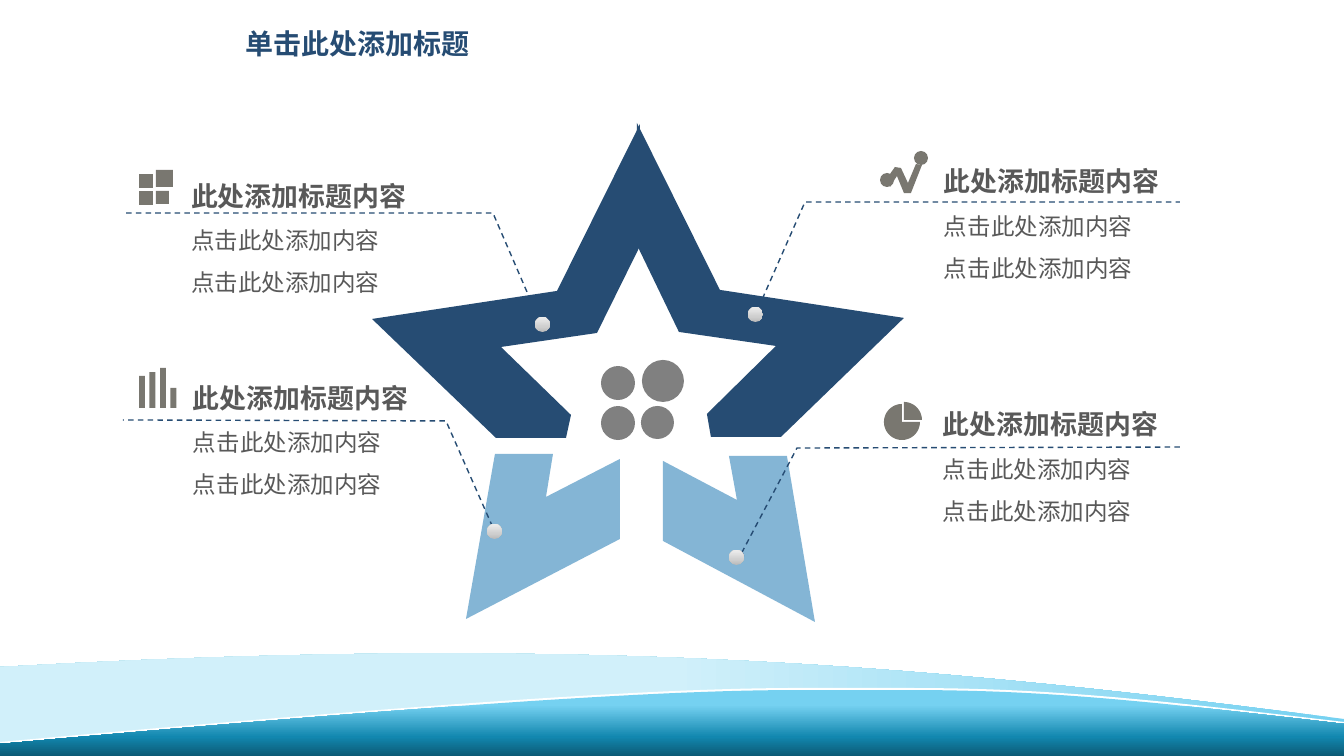
import itertools
import math

import pptx
import pptx.dml.color
import pptx.enum.dml
import pptx.enum.shapes
import pptx.enum.text
import pptx.oxml.ns
import pptx.util
from lxml import etree

EMU_PER_PX = 914400 / 100.8
COLORS = {
    "navy": "264C73", "sky": "84B5D5", "grey": "808080", "icon": "797770",
    "text": "595959", "white": "FFFFFF", "aqua": "75D1F1", "mist": "D1F0FA",
    "teal": "1287AF", "deep": "0C5A75",
    "silver": "BBBBBB", "pearl": "CFCFCF", "pale": "EDEDED",
}
HEADING = "此处添加标题内容"
DETAIL = "点击此处添加内容"
RECT = pptx.enum.shapes.MSO_SHAPE.RECTANGLE
OVAL = pptx.enum.shapes.MSO_SHAPE.OVAL
PP_ALIGN = pptx.enum.text.PP_ALIGN
qn = pptx.oxml.ns.qn


def bezier(points, steps=24):
    curve = [points[0]]
    for first in range(0, len(points) - 1, 3):
        a, b, c, d = points[first:first + 4]
        for step in range(1, steps + 1):
            t = step / steps
            u = 1 - t
            curve.append(tuple(
                u**3 * a[axis] + 3 * u * u * t * b[axis] + 3 * u * t * t * c[axis] + t**3 * d[axis]
                for axis in (0, 1)))
    return curve


def crest(top):
    return bezier([(0, top + 54), (523, top + 7), (694, top), (804, top),
                   (842, top), (872, top), (906, top),
                   (1043, top), (1140, top + 10), (1344, top + 34)])


def sector(x, y, radius, start, end):
    arc = [(x + radius * math.cos(math.radians(angle)), y + radius * math.sin(math.radians(angle)))
           for angle in range(start, end + 1, 5)]
    return [(x, y)] + arc


class SlideBuilder:
    def __init__(self, slide):
        self.slide = slide
        self.shapes = slide.shapes
        self.cjk_font = "Noto Sans CJK SC"

    def px(self, *lengths):
        return [pptx.util.Emu(round(length * EMU_PER_PX)) for length in lengths]

    def rgb(self, color):
        return pptx.dml.color.RGBColor.from_string(COLORS[color])

    def paint(self, shape, color=None, gradient=None):
        shape.shadow.inherit = False
        shape.line.fill.background()
        if gradient is None:
            shape.fill.solid()
            shape.fill.fore_color.rgb = self.rgb(color)
            return
        stops, angle = gradient
        shape.fill.gradient()
        shape.fill.gradient_angle = (360 - angle) % 360
        stop_list = shape.element.find(".//" + qn("a:gsLst"))
        stop_list.clear()
        for position, name in stops:
            stop = etree.SubElement(stop_list, qn("a:gs"), pos=str(position * 1000))
            etree.SubElement(stop, qn("a:srgbClr"), val=COLORS[name])

    def outline(self, points, closed=True):
        corners = [self.px(*point) for point in points]
        builder = self.shapes.build_freeform(*corners[0], scale=1.0)
        builder.add_line_segments(corners[1:], close=closed)
        return builder.convert_to_shape()

    def polygon(self, points, color=None, gradient=None):
        self.paint(self.outline(points), color, gradient)

    def preset(self, kind, box, color=None, gradient=None):
        self.paint(self.shapes.add_shape(kind, *self.px(*box)), color, gradient)

    def leader(self, points):
        leader = self.outline(points, closed=False)
        leader.shadow.inherit = False
        leader.fill.background()
        leader.line.color.rgb = self.rgb("navy")
        leader.line.width = pptx.util.Pt(1)
        leader.line.dash_style = pptx.enum.dml.MSO_LINE.DASH
        etree.SubElement(leader.element.find(".//" + qn("a:ln")), qn("a:headEnd"), type="oval")

    def place(self, placeholder, box, lines):
        placeholder.left, placeholder.top, placeholder.width, placeholder.height = self.px(*box)
        frame = placeholder.text_frame
        frame.text = "\n".join(lines)
        frame.auto_size = pptx.enum.text.MSO_AUTO_SIZE.NONE
        frame.vertical_anchor = pptx.enum.text.MSO_ANCHOR.TOP
        return frame

    def style(self, paragraph, font, size, color, bold, align, spacing):
        paragraph.alignment = align
        paragraph.line_spacing = spacing
        paragraph.space_before = paragraph.space_after = pptx.util.Pt(0)
        for run in paragraph.runs:
            run.font.name = font
            run.font.size = pptx.util.Pt(size)
            run.font.bold = bold
            run.font.color.rgb = self.rgb(color)
            etree.SubElement(run.font._element, qn("a:ea"), typeface=self.cjk_font)

    def title(self, text, box):
        frame = self.place(self.shapes.title, box, [text])
        frame.word_wrap = False
        self.style(frame.paragraphs[0], "Arial", 20, "navy", True, PP_ALIGN.LEFT, 1.3)

    def topic(self, placeholder, box):
        frame = self.place(placeholder, box, [HEADING, DETAIL, DETAIL])
        frame.word_wrap = True
        frame.margin_left, frame.margin_top, frame.margin_right, frame.margin_bottom = self.px(16, 8, 16, 8)
        for row, paragraph in enumerate(frame.paragraphs):
            properties = paragraph._p.get_or_add_pPr()
            properties.set("marL", "0")
            properties.set("indent", "0")
            etree.SubElement(properties, qn("a:buNone"))
            self.style(paragraph, self.cjk_font, 16.8 if row else 19.2, "text", row == 0,
                       PP_ALIGN.JUSTIFY, 1.5)


def main():
    deck = pptx.Presentation()
    deck.slide_width, deck.slide_height = (pptx.util.Emu(round(side * EMU_PER_PX)) for side in (1344, 756))
    comparison_layout = deck.slide_layouts[4]
    page = SlideBuilder(deck.slides.add_slide(comparison_layout))

    back_wave = (bezier([(0, 667), (597, 633), (940, 667), (1344, 719)])
                 + bezier([(1344, 739), (879, 646), (487, 724), (0, 747)]))
    page.polygon(back_wave, gradient=([(0, "aqua"), (50, "mist"), (100, "mist")], 180))
    page.polygon(crest(688) + crest(699)[::-1], "white")
    page.polygon(crest(690) + [(1344, 756), (0, 756)],
                 gradient=([(23, "aqua"), (71, "teal"), (100, "deep")], 90))

    page.title("单击此处添加标题", (235, 11, 247, 50))
    topic_boxes = [(175, 155, 339, 187), (177, 357, 338, 150), (928, 141, 303, 187), (927, 384, 251, 200)]
    bodies = [holder for holder in page.slide.placeholders if holder.placeholder_format.idx]
    for body, box in zip(bodies, topic_boxes):
        page.topic(body, box)

    star_arms = [
        ("sky", [(663, 461), (663, 541), (815, 622), (787, 456), (729, 456), (737, 500)]),
        ("sky", [(620, 459), (546, 497), (553, 454), (495, 454), (466, 619), (620, 539)]),
        ("navy", [(720, 290), (637, 123), (637, 245), (679, 332), (776, 346), (707, 414),
                  (711, 437), (781, 437), (904, 318)]),
        ("navy", [(557, 291), (372, 319), (496, 438), (566, 438), (571, 415), (501, 347),
                  (597, 333), (640, 246), (640, 124)]),
    ]
    for color, arm in star_arms:
        page.polygon(arm, color)
    for x, y, size in [(601, 366, 34), (642, 360, 42), (601, 406, 34), (641, 406, 33)]:
        page.preset(OVAL, (x, y, size, size), "grey")

    page.polygon([(890, 174), (895, 167), (901, 168), (908, 183), (916, 164), (922, 165),
                  (911, 193), (904, 193), (897, 176), (895, 179), (890, 187)], "icon")
    for x, y in [(880, 173), (914, 151)]:
        page.preset(OVAL, (x, y, 14, 14), "icon")
    for x, y, size in [(139, 174, 14), (156, 170, 17), (139, 191, 14), (156, 191, 13)]:
        page.preset(RECT, (x, y, size, size), "icon")
    page.polygon(sector(902, 422, 18, 0, 270), "icon")
    page.polygon(sector(904, 420, 18, 270, 360), "icon")
    for x, height in zip(itertools.count(139, 10.5), [32, 36, 40, 20]):
        page.preset(RECT, (x, 408 - height, 6, height), "icon")

    for route in [
        [(540, 322), (493, 213), (123, 213)],
        [(494, 530), (446, 421), (123, 420)],
        [(757, 311), (805, 202), (1180, 202)],
        [(740, 556), (797, 448), (1180, 447)],
    ]:
        page.leader(route)
    for x, y in [(535, 317), (748, 307), (729, 550), (487, 524)]:
        page.preset(OVAL, (x, y, 15, 15),
                    gradient=([(0, "silver"), (35, "pearl"), (100, "pale")], 270))

    deck.save("out.pptx")


if __name__ == "__main__":
    main()
